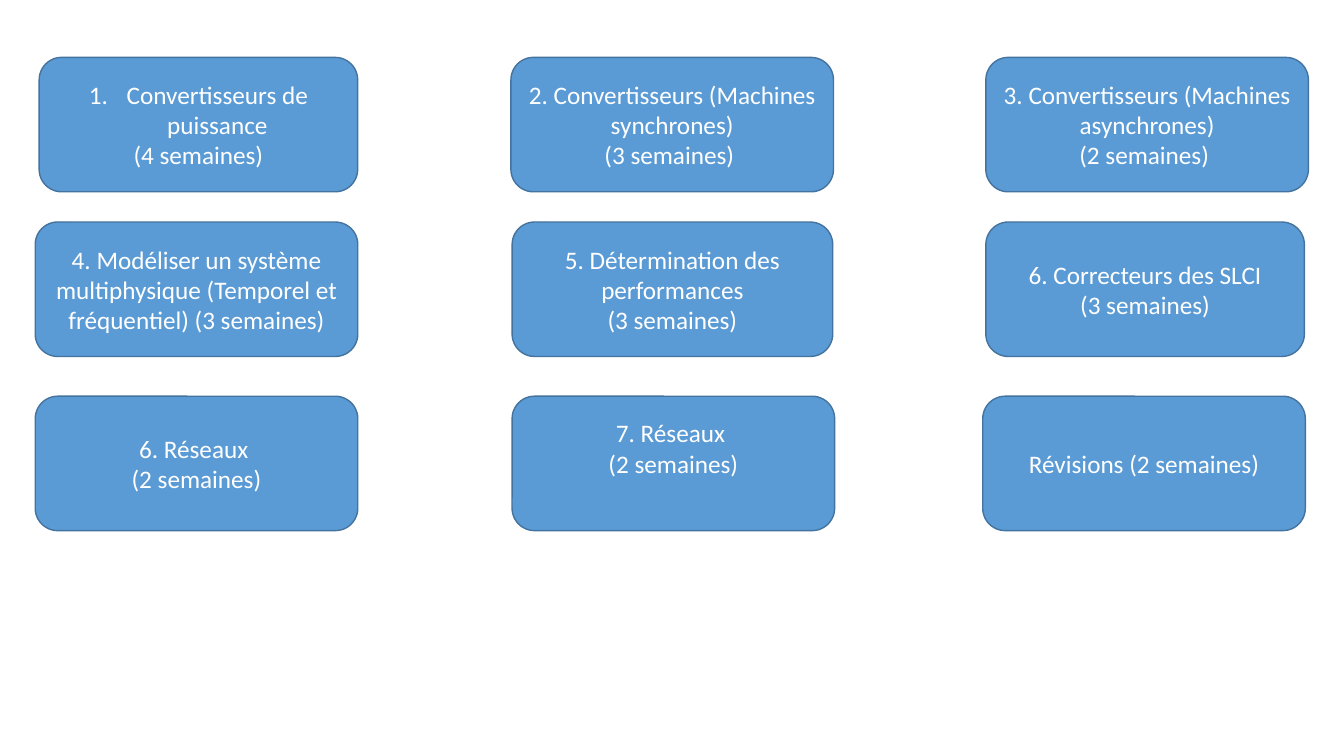
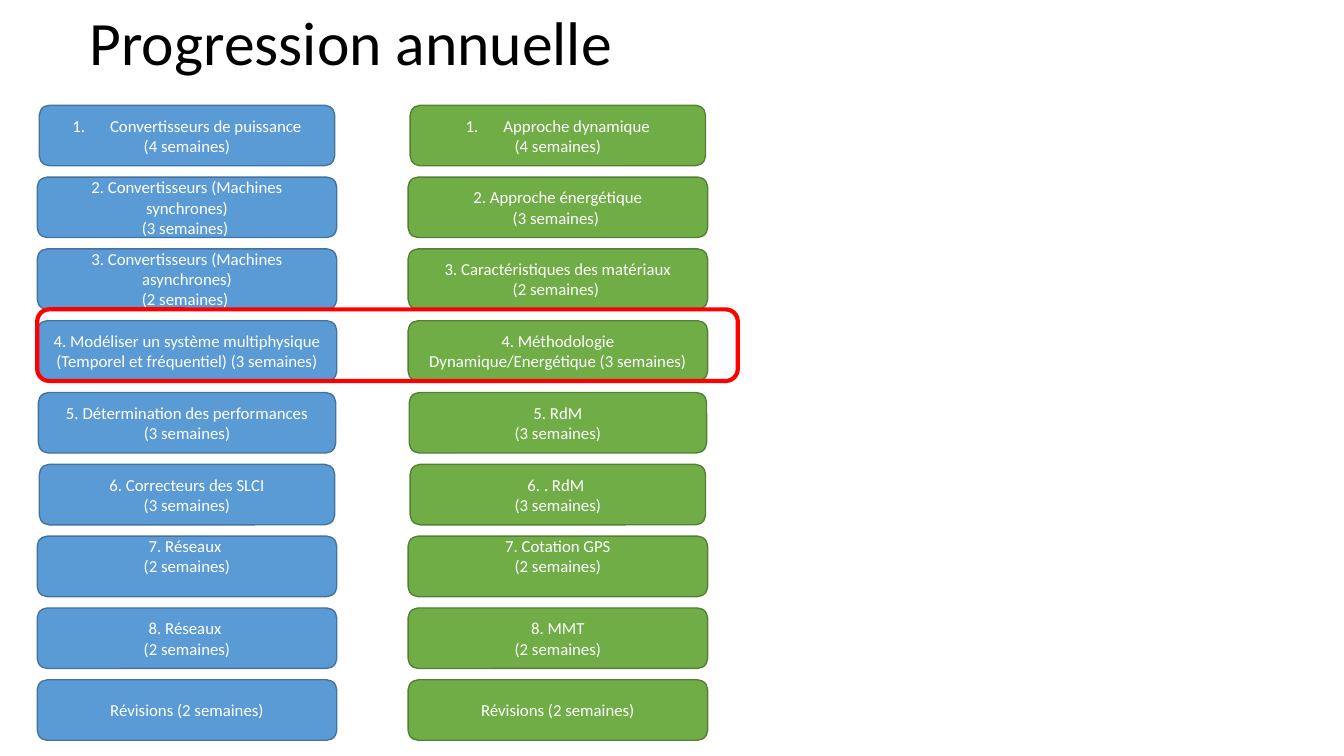
"""Build two slides showing the yearly teaching progression."""
import pptx
import pptx.dml.color
import pptx.enum.shapes
import pptx.enum.text
import pptx.oxml
import pptx.oxml.ns
import pptx.util

Pt = pptx.util.Pt
RGBColor = pptx.dml.color.RGBColor
ALIGN = pptx.enum.text.PP_ALIGN
MIDDLE = pptx.enum.text.MSO_ANCHOR.MIDDLE
ROUNDED = pptx.enum.shapes.MSO_SHAPE.ROUNDED_RECTANGLE

FONT = "Calibri"
WHITE = RGBColor(0xFF, 0xFF, 0xFF)
BLACK = RGBColor(0x00, 0x00, 0x00)
RED = RGBColor(0xFF, 0x00, 0x00)
BLUE = (RGBColor(0x5B, 0x9B, 0xD5), RGBColor(0x43, 0x73, 0x9E))
GREEN = (RGBColor(0x70, 0xAD, 0x47), RGBColor(0x53, 0x80, 0x35))

POWER = ["Convertisseurs de puissance", "(4 semaines)"]
SYNCHRONOUS = ["2. Convertisseurs (Machines synchrones)", "(3 semaines) "]
ASYNCHRONOUS = ["3. Convertisseurs (Machines asynchrones)", "(2 semaines) "]
MODELLING = ["4. Modéliser un système multiphysique (Temporel et fréquentiel) (3 semaines)"]
PERFORMANCE = ["5. Détermination des performances", "(3 semaines)"]
CORRECTORS = ["6. Correcteurs des SLCI", "(3 semaines)"]
NETWORKS = ["7. Réseaux ", "(2 semaines)"]
REVISION = ["Révisions (2 semaines)"]

OVERVIEW_TOPS = [41, 158.6, 283]
OVERVIEW_HEIGHT = 96
OVERVIEW = [
    [(28, 227.5, POWER), (365, 230.4, SYNCHRONOUS), (704.2, 230.4, ASYNCHRONOUS)],
    [(25.2, 230.4, MODELLING), (365.8, 229, PERFORMANCE), (704.2, 227.5, CORRECTORS)],
    [(25.2, 230.4, ["6. Réseaux ", "(2 semaines)"]), (365.8, 230.4, NETWORKS),
     (702, 230.4, REVISION)],
]

TITLE = "Progression annuelle"
BLUE_TOPICS = [
    POWER, SYNCHRONOUS, ASYNCHRONOUS, MODELLING, PERFORMANCE, CORRECTORS,
    NETWORKS, ["8. Réseaux ", "(2 semaines)"], REVISION,
]
GREEN_TOPICS = [
    ["Approche dynamique", "(4 semaines)"],
    ["2. Approche énergétique", "(3 semaines) "],
    ["3. Caractéristiques des matériaux", "(2 semaines) "],
    ["4. Méthodologie Dynamique/Energétique (3 semaines)"],
    ["5. RdM", "(3 semaines)"],
    ["6. . RdM ", "(3 semaines)"],
    ["7. Cotation GPS", "(2 semaines)"],
    ["8. MMT", "(2 semaines)"],
    REVISION,
]
YEAR_COLUMNS = [(133.6, BLUE, BLUE_TOPICS), (398.5, GREEN, GREEN_TOPICS)]
YEAR_WIDTHS = [211, 214, 214, 214, 212.4, 211, 214, 214, 214]
YEAR_TOP, YEAR_PITCH, YEAR_HEIGHT = 75.2, 51.3, 43.2
RAISED_PREFIX = "7."
LINE_HEIGHT = 1.22
INSET = 3.6


def add_run(para, text, size, color):
    span = para.add_run()
    span.text = text
    span.font.name = FONT
    span.font.size = Pt(size)
    span.font.color.rgb = color


def number_paragraph(para):
    properties = para._p.get_or_add_pPr()
    properties.set("marL", str(Pt(27)))
    properties.set("indent", str(-Pt(27)))
    properties.append(pptx.oxml.parse_xml(
        f'<a:buAutoNum {pptx.oxml.ns.nsdecls("a")} type="arabicPeriod"/>'))


def add_rounded(page, left, top, width, height, line_color, line_width):
    box = page.shapes.add_shape(ROUNDED, Pt(left), Pt(top), Pt(width), Pt(height))
    box.shadow.inherit = False
    box.line.color.rgb = line_color
    box.line.width = Pt(line_width)
    return box


def add_topic(page, left, top, width, height, lines, size, colors):
    fill, outline = colors
    box = add_rounded(page, left, top, width, height, outline, 1)
    box.fill.solid()
    box.fill.fore_color.rgb = fill
    frame = box.text_frame
    frame.word_wrap = True
    frame.vertical_anchor = MIDDLE
    if lines[0].startswith(RAISED_PREFIX):
        frame.margin_bottom = Pt(INSET + LINE_HEIGHT * size)
    for index, line in enumerate(lines):
        para = frame.add_paragraph() if index else frame.paragraphs[0]
        para.alignment = ALIGN.CENTER
        add_run(para, line, size, WHITE)
    if lines[-1] == "(4 semaines)":
        number_paragraph(frame.paragraphs[0])


def add_title(page, text):
    box = page.shapes.add_textbox(Pt(57), Pt(-19.4), Pt(828), Pt(104.4))
    frame = box.text_frame
    frame.word_wrap = True
    frame.vertical_anchor = MIDDLE
    para = frame.paragraphs[0]
    para.line_spacing = 0.9
    add_run(para, text, 44, BLACK)


def build_overview(page):
    for top, row in zip(OVERVIEW_TOPS, OVERVIEW):
        for left, width, lines in row:
            add_topic(page, left, top, width, OVERVIEW_HEIGHT, lines, 18, BLUE)


def build_year(page):
    add_title(page, TITLE)
    for center, colors, topics in YEAR_COLUMNS:
        for index, (width, lines) in enumerate(zip(YEAR_WIDTHS, topics)):
            top = YEAR_TOP + index * YEAR_PITCH
            add_topic(page, center - width / 2, top, width, YEAR_HEIGHT, lines, 12, colors)
    highlight = add_rounded(page, 26.6, 221, 500.4, 51.1, RED, 3)
    highlight.fill.background()


def main():
    deck = pptx.Presentation()
    deck.slide_width, deck.slide_height = Pt(960), Pt(540)
    for build in (build_overview, build_year):
        build(deck.slides.add_slide(deck.slide_layouts[6]))
    deck.save("out.pptx")


if __name__ == "__main__":
    main()
